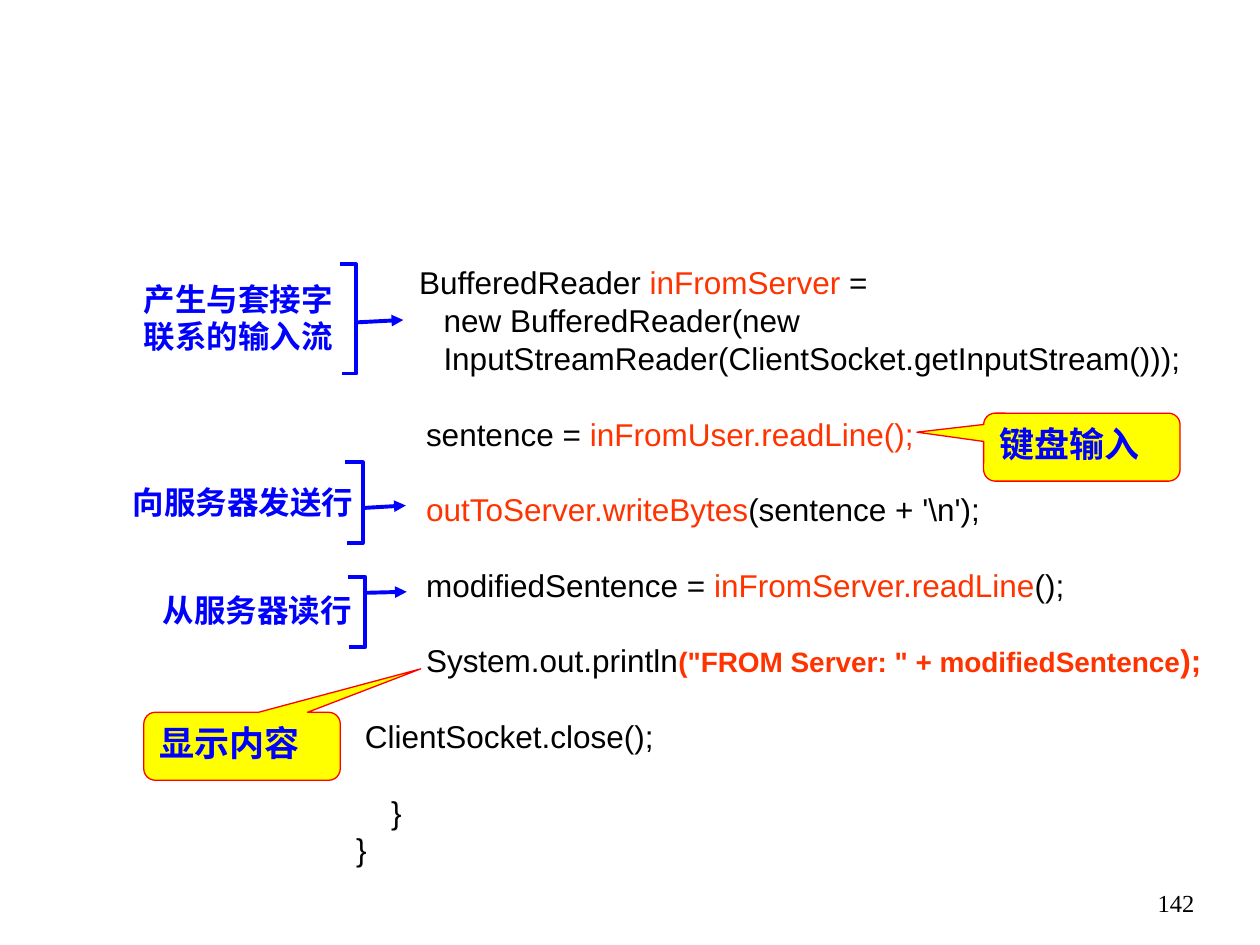
from lxml import etree
from pptx import Presentation
from pptx.dml.color import RGBColor
from pptx.enum.shapes import MSO_CONNECTOR, MSO_SHAPE
from pptx.enum.text import MSO_ANCHOR, PP_ALIGN
from pptx.oxml.ns import qn
from pptx.util import Cm, Pt

STRAIGHT = MSO_CONNECTOR.STRAIGHT
CALLOUT = MSO_SHAPE.ROUNDED_RECTANGULAR_CALLOUT
TOP, MIDDLE = MSO_ANCHOR.TOP, MSO_ANCHOR.MIDDLE
LEFT, RIGHT = PP_ALIGN.LEFT, PP_ALIGN.RIGHT

COLORS = {"black": "000000", "blue": "0000FF", "orange": "FF3300",
          "yellow": "FFFF00", "red": "FF0000"}
CODE_LINE = 21.6


def color(name):
    return RGBColor.from_string(COLORS[name])


def add_span(para, text, font="Arial", size=18, ink="black", bold=False):
    span = para.add_run()
    span.text = text
    span.font.name = font
    span.font.size = Pt(size)
    span.font.bold = bold
    span.font.color.rgb = color(ink)


class SlideBuilder:
    label_style = {"font": "Comic Neue", "ink": "blue", "bold": True}

    def __init__(self, page):
        self.page = page

    def text_box(self, left, top, width, height, anchor=TOP):
        box = self.page.shapes.add_textbox(Cm(left), Cm(top), Cm(width), Cm(height))
        box.text_frame.word_wrap = True
        box.text_frame.vertical_anchor = anchor
        return box.text_frame

    def code(self, lines, *place):
        """Each line is (blank line before it, spans of (text, format))."""
        frame = self.text_box(*place, anchor=MIDDLE)
        for number, (gap, spans) in enumerate(lines):
            para = frame.add_paragraph() if number else frame.paragraphs[0]
            para.line_spacing = Pt(CODE_LINE)
            if gap:
                para.space_before = Pt(CODE_LINE)
            for text, style in spans:
                add_span(para, text, **style)

    def label(self, text, *place):
        para = self.text_box(*place, anchor=MIDDLE).paragraphs[0]
        para.alignment = RIGHT
        add_span(para, text, **self.label_style)

    def page_number(self, text, *place):
        para = self.text_box(*place).paragraphs[0]
        para.alignment = RIGHT
        add_span(para, text, font="Times New Roman", size=14)

    def outline(self, shape):
        shape.line.color.rgb = color("blue")
        shape.line.width = Pt(2.25)

    def bracket(self, left, top, width, height):
        right, bottom = left + width, top + height
        builder = self.page.shapes.build_freeform(Cm(left), Cm(top))
        corners = [(right, top), (right, bottom), (left + 0.03, bottom)]
        builder.add_line_segments([(Cm(x), Cm(y)) for x, y in corners], close=False)
        shape = builder.convert_to_shape()
        shape.shadow.inherit = False
        shape.fill.background()
        self.outline(shape)

    def arrow(self, *ends):
        line = self.page.shapes.add_connector(STRAIGHT, *map(Cm, ends))
        self.outline(line)
        etree.SubElement(line.line._get_or_add_ln(), qn("a:tailEnd"), type="triangle")
        etree.SubElement(line._element.spPr, qn("a:effectLst"))

    def callout(self, text, left, top, tip):
        shape = self.page.shapes.add_shape(CALLOUT, Cm(left), Cm(top), Cm(3.96), Cm(1.37))
        shape.shadow.inherit = False
        for index, value in enumerate(tip):
            shape.adjustments[index] = value
        shape.fill.solid()
        shape.fill.fore_color.rgb = color("yellow")
        shape.line.color.rgb = color("red")
        shape.line.width = Pt(0.75)
        frame = shape.text_frame
        frame.vertical_anchor = TOP
        frame.paragraphs[0].alignment = LEFT
        add_span(frame.paragraphs[0], text, size=20, **self.label_style)


def main():
    deck = Presentation()
    deck.slide_width, deck.slide_height = Cm(25.4), Cm(19.05)
    slide = SlideBuilder(deck.slides.add_slide(deck.slide_layouts[6]))

    # Client code
    plain, marked = {}, {"ink": "orange"}
    indent = " " * 8
    lines = [
        (False, [(indent, {"font": "Times New Roman"}), ("BufferedReader", plain),
                 (" inFromServer", marked), (" =", plain)]),
        (False, [("          new BufferedReader(new", plain)]),
        (False, [("          InputStreamReader(ClientSocket.getInputStream()));", plain)]),
        (True, [(indent + "sentence = ", plain), ("inFromUser.readLine();", marked)]),
        (True, [(indent, plain), ("outToServer.writeBytes", marked),
                ("(sentence + '\\n');", plain)]),
        (True, [(indent + "modifiedSentence =", plain),
                (" inFromServer.readLine", marked), ("();", plain)]),
        (True, [(indent + "System.out.println", plain),
                ('("FROM Server: " + modifiedSentence',
                 {"ink": "orange", "bold": True, "size": 16}),
                (");", {"ink": "orange", "bold": True})]),
        (True, [(" ClientSocket.close();", plain)]),
        (True, [("    }", plain)]),
        (False, [("}", plain)]),
    ]
    slide.code(lines, 6.93, 5.18, 17.73, 12.45)

    # Step labels
    slide.label("产生与套接字联系的输入流", 2.18, 5.51, 4.78, 1.78)
    slide.label("向服务器发送行", 2.2, 9.6, 5.17, 1.02)
    slide.label("从服务器读行", 2.8, 11.79, 4.54, 1.02)

    # Brackets with arrows to the code
    slide.bracket(6.86, 5.33, 0.32, 2.2)
    slide.arrow(7.16, 6.5, 8.13, 6.45)
    slide.bracket(6.96, 9.32, 0.35, 1.63)
    slide.arrow(7.32, 10.24, 8.18, 10.19)
    slide.bracket(7.01, 11.63, 0.35, 1.42)
    slide.arrow(7.39, 11.95, 8.2, 11.93)

    # Callouts
    slide.callout("显示内容", 2.9, 14.36, (0.91, -1.14, 0.17))
    slide.callout("键盘输入", 19.83, 8.33, (-0.84, -0.22, 0.17))

    # Page number
    slide.page_number("142", 23.06, 17.78, 1.27, 1.27)

    deck.save("out.pptx")


if __name__ == "__main__":
    main()
